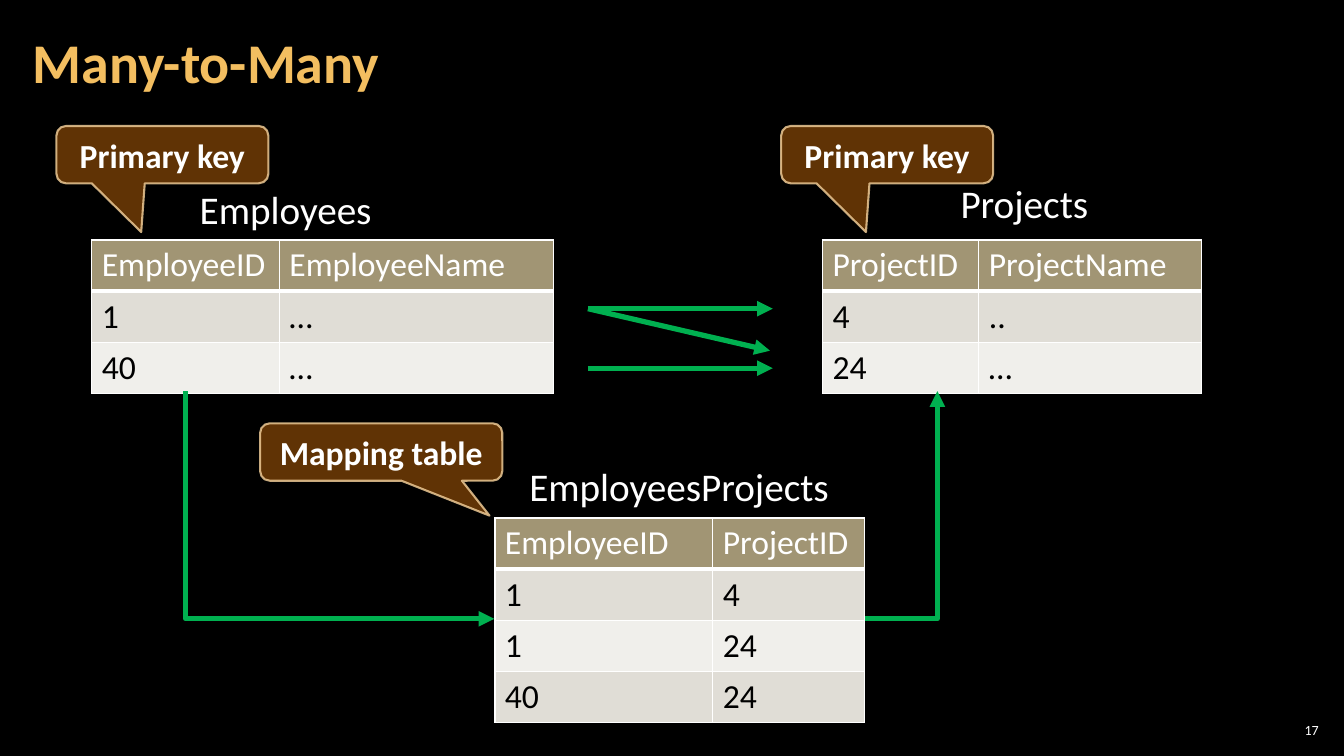
"""Build the many-to-many slide: three tables, their links and callouts."""
from lxml.etree import SubElement as Sub
from pptx import Presentation
from pptx.dml.color import RGBColor as Rgb
from pptx.enum.shapes import MSO_CONNECTOR as Conn, MSO_SHAPE as Shape
from pptx.enum.text import MSO_ANCHOR as Anchor, PP_ALIGN as Align
from pptx.oxml.ns import qn
from pptx.util import Pt

HUES = {"back": "000000", "title": "F3BE60", "white": "FFFFFF", "black": "000000",
        "head": "A19574", "odd": "E0DDD6", "even": "F0EFEB",
        "link": "00B050", "call": "663606", "edge": "F8D49E"}
FONT = "Calibri"
ROW = 36

TABLES = [
    ((65.5, 171.4), (134, 196),
     [("EmployeeID", "EmployeeName"), ("1", "…"), ("40", "…")]),
    ((587.5, 171.4), (111.6, 159.2),
     [("ProjectID", "ProjectName"), ("4", ".."), ("24", "…")]),
    ((353.5, 370), (155.6, 108.4),
     [("EmployeeID", "ProjectID"), ("1", "4"), ("1", "24"), ("40", "24")]),
]
PLAIN = {"word_wrap": False}
THIN = {"word_wrap": True, "vertical_anchor": Anchor.MIDDLE, "margin_left": Pt(3),
        "margin_right": Pt(3), "margin_top": Pt(3), "margin_bottom": Pt(3)}
WIDE = {**THIN, "margin_left": Pt(8.5), "margin_right": Pt(8.5)}
MID = {"word_wrap": True, "vertical_anchor": Anchor.MIDDLE}
LABELS = [
    ("17", (911, 514, 34, 15), 10, "white", False, {"alignment": Align.RIGHT}, THIN),
    ("Many-to-Many", (15, 3, 754, 87), 40, "title", True, {"line_spacing": 0.9}, WIDE),
    ("Employees", (135.6, 129, 138, 41), 28, "white", False, {}, PLAIN),
    ("Projects", (679, 124.6, 106.6, 41), 28, "white", False, {}, PLAIN),
    ("EmployeesProjects", (371, 326.4, 231, 41), 28, "white", False, {}, PLAIN),
]
ARROWS = [((420, 220.5), (552, 220.5)), ((420, 263), (552, 263)),
          ((420, 220.5), (550, 250.5))]
DOWN = ((132.5, 279.4), (353, 442))
UP = ((618, 442), (669.6, 279.4))
KEY = (-0.1, 1.349, 0.167)
CALLS = [
    ("Primary key", (40.3, 90, 151.4, 41), KEY),
    ("Primary key", (558, 90, 151.4, 41), KEY),
    ("Mapping table", (185.8, 302.4, 173, 41), (0.447, 1.108, 0.167)),
]


def hue(name):
    return Rgb.from_string(HUES[name])


def put(item, form):
    for key, val in form.items():
        setattr(item, key, val)


def paint(fill, name):
    fill.solid()
    fill.fore_color.rgb = hue(name)


def write(frame, text, size, tone, bold=False, para=None):
    line = frame.paragraphs[0]
    put(line, para or {})
    run = line.add_run()
    run.text = text
    put(run.font, {"name": FONT, "size": Pt(size), "bold": bold})
    run.font.color.rgb = hue(tone)


def edge(cell, side, wide):
    ln = Sub(cell._tc.get_or_add_tcPr(), qn("a:" + side), w=str(Pt(wide)))
    Sub(Sub(ln, qn("a:solidFill")), qn("a:srgbClr"), val=HUES["white"])


def grid(slide, spot, cols, rows):
    box = slide.shapes.add_table(len(rows), len(cols), *map(Pt, spot),
                                 Pt(sum(cols)), Pt(ROW * len(rows)))
    table = box.table
    table.horz_banding = False
    for col, wide in zip(table.columns, cols):
        col.width = Pt(wide)
    for r, row in enumerate(rows):
        table.rows[r].height = Pt(ROW)
        for c, text in enumerate(row):
            cell = table.cell(r, c)
            for side in ("lnL", "lnR", "lnT", "lnB"):
                edge(cell, side, 3 if r == 0 and side == "lnB" else 1)
            paint(cell.fill, "head" if r == 0 else "odd" if r % 2 else "even")
            write(cell.text_frame, text, 24, "black" if r else "white")


def label(slide, text, spot, size, tone, bold, para, form):
    frame = slide.shapes.add_textbox(*map(Pt, spot)).text_frame
    put(frame, form)
    write(frame, text, size, tone, bold, para)


def arrow(slide, start, end, kind=Conn.STRAIGHT):
    link = slide.shapes.add_connector(kind, *map(Pt, start + end))
    link.line.width = Pt(3.75)
    link.line.color.rgb = hue("link")
    props = link._element.spPr
    Sub(props.find(qn("a:ln")), qn("a:tailEnd"), type="triangle")
    Sub(props, qn("a:effectLst"))
    if kind == Conn.ELBOW:
        props.find(qn("a:prstGeom")).set("prst", "bentConnector2")
    return props


def drop(slide, start, end):
    (x1, y1), (x2, y2) = start, end
    mx, my = (x1 + x2) / 2, (y1 + y2) / 2
    dx, dy = (y2 - y1) / 2, (x2 - x1) / 2
    props = arrow(slide, (mx + dx, my - dy), (mx - dx, my + dy), Conn.ELBOW)
    props.find(qn("a:xfrm")).set("rot", str(270 * 60000))


def fade(color, part):
    Sub(color, qn("a:alpha"), val=str(part * 1000))


def call(slide, text, spot, bends):
    box = slide.shapes.add_shape(Shape.ROUNDED_RECTANGULAR_CALLOUT, *map(Pt, spot))
    box.shadow.inherit = False
    for i, bend in enumerate(bends):
        box.adjustments[i] = bend
    paint(box.fill, "call")
    paint(box.line.fill, "edge")
    box.line.width = Pt(1.5)
    props = box._element.spPr
    fade(props.find(qn("a:solidFill")).find(qn("a:srgbClr")), 95)
    fade(props.find(qn("a:ln")).find(qn("a:solidFill")).find(qn("a:srgbClr")), 80)
    put(box.text_frame, MID)
    write(box.text_frame, text, 24, "white", True, {"alignment": Align.CENTER})


def main():
    deck = Presentation()
    put(deck, {"slide_width": Pt(960), "slide_height": Pt(540)})
    slide = deck.slides.add_slide(deck.slide_layouts[6])
    paint(slide.background.fill, "back")
    for item in TABLES:
        grid(slide, *item)
    for item in LABELS:
        label(slide, *item)
    for item in ARROWS:
        arrow(slide, *item)
    drop(slide, *DOWN)
    arrow(slide, *UP, Conn.ELBOW)
    for item in CALLS:
        call(slide, *item)
    deck.save("out.pptx")


if __name__ == "__main__":
    main()
